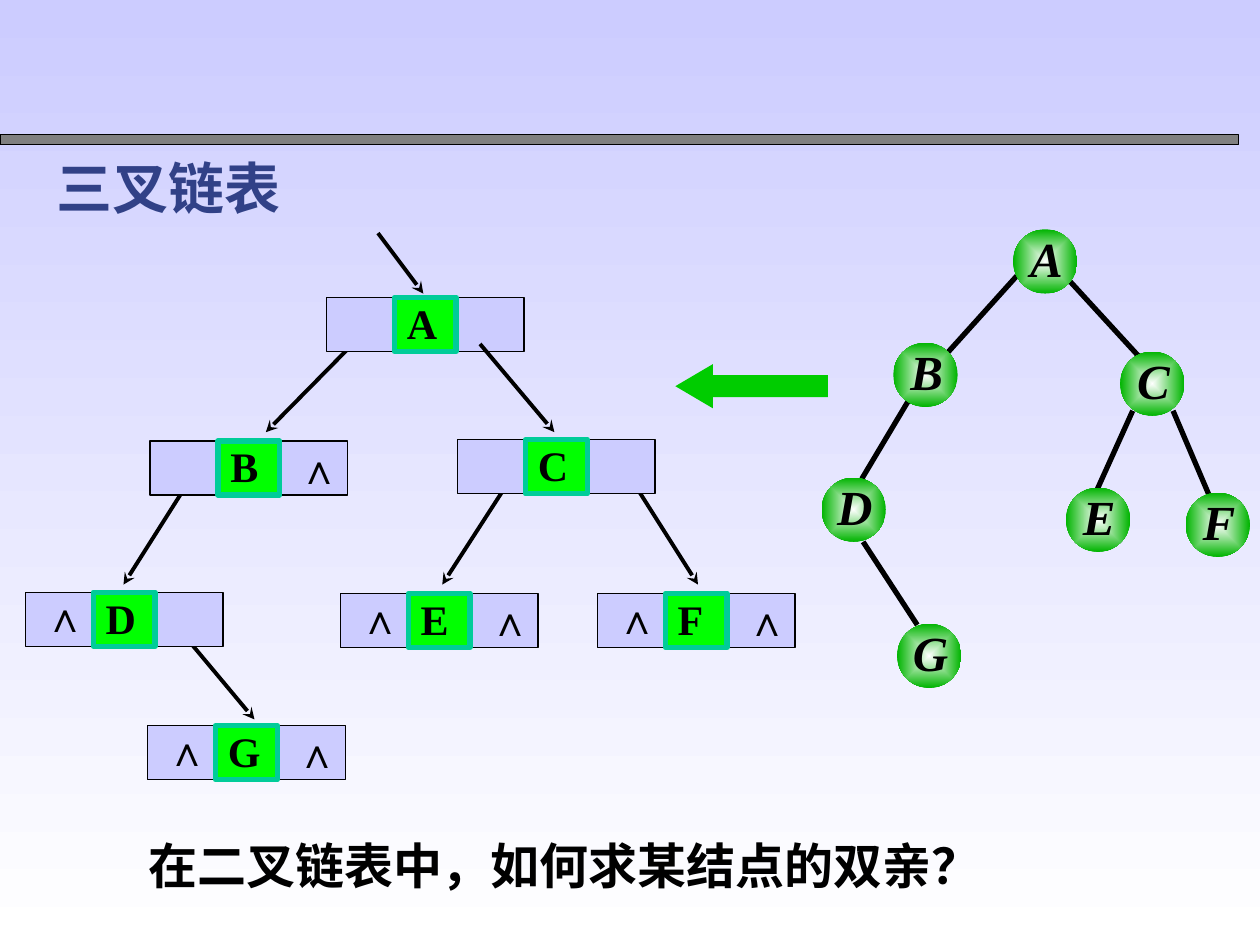
from dataclasses import dataclass

from lxml.etree import SubElement
from pptx import Presentation
from pptx.dml.color import RGBColor
from pptx.enum.shapes import MSO_CONNECTOR, MSO_SHAPE
from pptx.enum.text import MSO_ANCHOR, PP_ALIGN as Align
from pptx.oxml.ns import qn
from pptx.util import Inches, Pt

FONT = "Times New Roman"
BLACK = "000000"
CELL_WIDTH, CELL_HEIGHT = 1.57, 0.43
DATA_OFFSET, DATA_WIDTH = 0.54, 0.49
CIRCLE_SIZE = 0.51


@dataclass(frozen=True)
class Line:
    x1: float
    y1: float
    x2: float
    y2: float


@dataclass(frozen=True)
class ListNode:
    name: str
    left: float
    top: float
    pointer: Line
    null_left: bool = False
    null_right: bool = False


@dataclass(frozen=True)
class TreeNode:
    name: str
    left: float
    top: float


LIST_NODES = [
    ListNode("G", 1.17, 5.76, Line(1.46, 5.04, 2.02, 5.71), True, True),
    ListNode("F", 4.74, 4.71, Line(5.04, 3.85, 5.54, 4.64), True, True),
    ListNode("E", 2.7, 4.71, Line(4.02, 3.85, 3.51, 4.64), True, True),
    ListNode("D", 0.2, 4.7, Line(1.48, 3.85, 0.98, 4.64), null_left=True),
    ListNode("B", 1.19, 3.5, Line(2.8, 2.73, 2.11, 3.43), null_right=True),
    ListNode("A", 2.59, 2.36, Line(3, 1.85, 3.36, 2.33)),
    ListNode("C", 3.63, 3.49, Line(3.81, 2.73, 4.4, 3.43)),
]

TREE_EDGES = [
    Line(8.07, 2.19, 7.52, 2.8),
    Line(8.48, 2.22, 9.04, 2.83),
    Line(7.21, 3.18, 6.84, 3.8),
    Line(6.85, 4.3, 7.28, 4.96),
    Line(8.99, 3.26, 8.71, 3.88),
    Line(9.31, 3.26, 9.6, 3.94),
]

TREE_NODES = [
    TreeNode("A", 8.04, 1.82),
    TreeNode("B", 7.09, 2.72),
    TreeNode("C", 8.89, 2.79),
    TreeNode("D", 6.52, 3.79),
    TreeNode("E", 8.46, 3.87),
    TreeNode("F", 9.41, 3.91),
    TreeNode("G", 7.12, 4.95),
]


def color(value: str) -> RGBColor:
    return RGBColor.from_string(value)


def set_gradient(fill, start: str, end: str) -> None:
    fill.gradient()
    for stop, value, position in zip(fill.gradient_stops, (start, end), (0, 1)):
        stop.color.rgb = color(value)
        stop.position = position


def add_box(slide, kind, left: float, top: float, width: float, height: float,
            fill: str = "", line: str = "", weight: float = 0.75):
    shape = slide.shapes.add_shape(
        kind, Inches(left), Inches(top), Inches(width), Inches(height))
    shape.shadow.inherit = False
    if fill:
        shape.fill.solid()
        shape.fill.fore_color.rgb = color(fill)
    if line:
        shape.line.color.rgb = color(line)
        shape.line.width = Pt(weight)
    else:
        shape.line.fill.background()
    return shape


def write(shape, text: str, size: float, insets: tuple, align=Align.LEFT,
          value: str = BLACK, italic: bool = False) -> None:
    frame = shape.text_frame
    frame.word_wrap = True
    frame.vertical_anchor = MSO_ANCHOR.TOP
    (frame.margin_left, frame.margin_top,
     frame.margin_right, frame.margin_bottom) = map(Inches, insets)
    paragraph = frame.paragraphs[0]
    paragraph.text = text
    paragraph.alignment = align
    font = paragraph.font
    font.name, font.size = FONT, Pt(size)
    font.bold, font.italic = True, italic
    font.color.rgb = color(value)


def add_text(slide, left: float, top: float, width: float, height: float,
             text: str, size: float, insets: tuple = (0.1, 0.05, 0.1, 0.05),
             align=Align.LEFT, value: str = BLACK, italic: bool = False) -> None:
    box = slide.shapes.add_textbox(
        Inches(left), Inches(top), Inches(width), Inches(height))
    write(box, text, size, insets, align, value, italic)


def add_line(slide, line: Line, weight: float, arrow: bool = False) -> None:
    connector = slide.shapes.add_connector(
        MSO_CONNECTOR.STRAIGHT, Inches(line.x1), Inches(line.y1),
        Inches(line.x2), Inches(line.y2))
    connector.line.color.rgb = color(BLACK)
    connector.line.width = Pt(weight)
    if arrow:
        SubElement(connector.line._get_or_add_ln(), qn("a:tailEnd"), type="stealth")
    SubElement(connector._element.spPr, qn("a:effectLst"))


def add_null(slide, left: float, top: float) -> None:
    add_text(slide, left, top, 0.46, 0.4, "∧", 24,
             (0.06, 0.01, 0.02, 0.01), Align.CENTER)


def add_list_node(slide, node: ListNode) -> None:
    add_box(slide, MSO_SHAPE.RECTANGLE, node.left, node.top,
            CELL_WIDTH, CELL_HEIGHT, "CCCCFF", BLACK)
    data = add_box(slide, MSO_SHAPE.RECTANGLE, node.left + DATA_OFFSET, node.top,
                   DATA_WIDTH, CELL_HEIGHT, "01FF01", "00CC99", 3)
    write(data, node.name, 24, (0.1, 0, 0.02, 0.01), Align.JUSTIFY)
    add_line(slide, node.pointer, 2.25, arrow=True)
    if node.null_left:
        add_null(slide, node.left + 0.07, node.top - 0.02)
    if node.null_right:
        add_null(slide, node.left + 1.1, node.top)


def add_tree_node(slide, node: TreeNode) -> None:
    circle = add_box(slide, MSO_SHAPE.OVAL, node.left, node.top,
                     CIRCLE_SIZE, CIRCLE_SIZE)
    set_gradient(circle.fill, "FFFFFF", "00B400")
    gradient = circle._element.spPr.find(qn("a:gradFill"))
    gradient.remove(gradient.find(qn("a:lin")))
    path = SubElement(gradient, qn("a:path"), path="rect")
    SubElement(path, qn("a:fillToRect"), l="50000", t="50000", r="50000", b="50000")
    add_text(slide, node.left + 0.05, node.top - 0.05, 0.43, 0.67, node.name, 28,
             (0, 0.04, 0, 0), Align.CENTER, italic=True)


def main() -> None:
    presentation = Presentation()
    presentation.slide_width = Inches(10)
    presentation.slide_height = Inches(7.5)
    slide = presentation.slides.add_slide(presentation.slide_layouts[6])
    background = slide.background.fill
    set_gradient(background, "CCCCFF", "FFFFFF")
    background.gradient_angle = 270

    add_box(slide, MSO_SHAPE.RECTANGLE, 0, 1.07, 9.83, 0.08, "808080", BLACK)
    add_text(slide, 0.35, 1.17, 3.67, 0.64, "三叉链表", 32, value="314187")
    for node in LIST_NODES:
        add_list_node(slide, node)
    for edge in TREE_EDGES:
        add_line(slide, edge, 3)
    for node in TREE_NODES:
        add_tree_node(slide, node)
    arrow = add_box(slide, MSO_SHAPE.LEFT_ARROW, 5.36, 2.89, 1.21, 0.35, "00CC00")
    arrow.adjustments[0] = 0.5
    arrow.adjustments[1] = 0.85
    add_text(slide, 1.08, 6.58, 8.6, 0.57, "在二叉链表中，如何求某结点的双亲？", 28)
    presentation.save("out.pptx")


if __name__ == "__main__":
    main()
